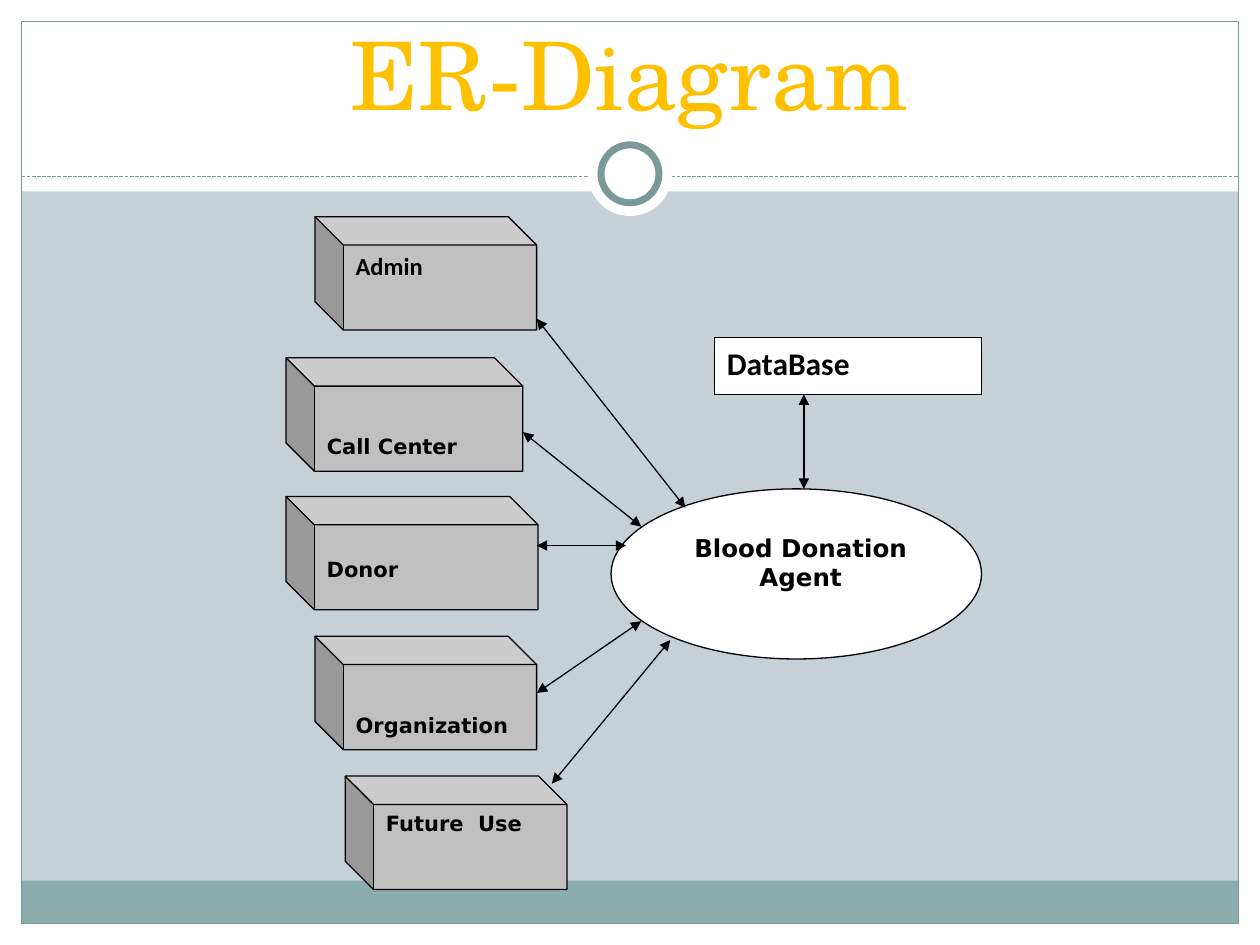
from lxml import etree
from pptx import Presentation
from pptx.dml.color import RGBColor
from pptx.enum.dml import MSO_LINE
from pptx.enum.shapes import MSO_CONNECTOR, MSO_SHAPE
from pptx.enum.text import MSO_ANCHOR, MSO_AUTO_SIZE, PP_ALIGN
from pptx.oxml.ns import qn
from pptx.util import Inches, Pt

RECT, OVAL, CUBE = MSO_SHAPE.RECTANGLE, MSO_SHAPE.OVAL, MSO_SHAPE.CUBE
STRAIGHT = MSO_CONNECTOR.STRAIGHT
DASH = MSO_LINE.SQUARE_DOT
TOP, BOTTOM = MSO_ANCHOR.TOP, MSO_ANCHOR.BOTTOM
LEFT, CENTER = PP_ALIGN.LEFT, PP_ALIGN.CENTER
NO_FIT = MSO_AUTO_SIZE.NONE

BACKGROUND = RGBColor(0xC5, 0xD1, 0xD7)
WHITE = RGBColor(0xFF, 0xFF, 0xFF)
BLACK = RGBColor(0, 0, 0)
GRAY = RGBColor(0xC0, 0xC0, 0xC0)
TEAL = RGBColor(0x8C, 0xAD, 0xAE)
DARK_TEAL = RGBColor(0x7C, 0x99, 0x9A)
GOLD = RGBColor(0xFF, 0xC0, 0x00)

SANS, CALIBRI, SERIF = "DejaVu Sans", "Calibri", "TeX Gyre Schola"


def add_box(s, kind, x, y, w, h, fill=None, line=None, width=0.75):
    sp = s.shapes.add_shape(kind, Inches(x), Inches(y), Inches(w), Inches(h))
    sp.shadow.inherit = False
    if fill is None:
        sp.fill.background()
    else:
        sp.fill.solid()
        sp.fill.fore_color.rgb = fill
    if line is None:
        sp.line.fill.background()
    else:
        sp.line.color.rgb = line
        sp.line.width = Pt(width)
    return sp


def write(sp, text, size=12, font=SANS, color=BLACK, bold=True,
          align=LEFT, anchor=TOP, inset=0.05):
    tf = sp.text_frame
    tf.word_wrap = True
    tf.auto_size = NO_FIT
    tf.vertical_anchor = anchor
    tf.margin_top = Inches(inset)
    p = tf.paragraphs[0]
    p.alignment = align
    r = p.add_run()
    r.text = text
    r.font.size = Pt(size)
    r.font.name = font
    r.font.bold = bold
    r.font.color.rgb = color


def add_line(s, x1, y1, x2, y2, color=BLACK, dash=None, arrows=False):
    line = s.shapes.add_connector(STRAIGHT, Inches(x1), Inches(y1), Inches(x2), Inches(y2))
    line.line.color.rgb = color
    line.line.width = Pt(0.75)
    if dash is not None:
        line.line.dash_style = dash
    if arrows:
        ln = line.line._get_or_add_ln()
        for end in ("a:headEnd", "a:tailEnd"):
            etree.SubElement(ln, qn(end), type="triangle")
    etree.SubElement(line.element.spPr, qn("a:effectLst"))


def add_frame(s, w, h, margin=0.17, header=1.52):
    # White margins and header band
    for box in ((0, h - margin, w, margin), (0, 0, w, header),
                (0, 0, margin, h), (w - margin, 0, margin, h)):
        add_box(s, RECT, *box, fill=WHITE)
    # Footer band and outline
    inner_w = w - 2 * margin
    add_box(s, RECT, margin, h - margin - 0.34, inner_w, 0.34, fill=TEAL)
    add_box(s, RECT, margin, margin, inner_w, h - 2 * margin, line=DARK_TEAL)
    # Dashed rule with a ring at its middle
    rule_y = header - 0.12
    add_line(s, margin, rule_y, w - margin, rule_y, DARK_TEAL, DASH)
    ring_y = header - 0.14
    for d, line in ((0.67, None), (0.46, DARK_TEAL)):
        add_box(s, OVAL, w / 2 - d / 2, ring_y - d / 2, d, d, WHITE, line, 4)


def add_title(s, x, y, w, h, text):
    title = s.shapes.title
    title.left, title.top, title.width, title.height = map(Inches, (x, y, w, h))
    write(title, text, size=54, font=SERIF, color=GOLD, bold=False,
          align=CENTER, anchor=BOTTOM)
    # Bring the title in front of the header band
    title.element.getparent().append(title.element)


def add_entity(s, x, y, w, text, size=12, font=SANS, inset=0.05):
    cube = add_box(s, CUBE, x, y, w, 0.9, GRAY, BLACK)
    cube.adjustments[0] = 0.25
    cube.element.spPr.xfrm.set("flipH", "1")
    write(cube, text, size, font, inset=inset)


def add_agent(s, x, y, w, h, text):
    add_box(s, OVAL, x, y, w, h, WHITE, BLACK)
    label = add_box(s, RECT, x + 0.33, y + 0.3, w - 0.59, h - 0.6, WHITE)
    write(label, text, size=14, align=CENTER)


def add_diagram(s, x, y):
    # Agent
    add_agent(s, x + 2.58, y + 2.16, 2.94, 1.35, "Blood Donation Agent")

    # Entities
    add_entity(s, x + 0.23, y, 1.76, "Admin", 14, CALIBRI)
    add_entity(s, x, y + 1.12, 1.88, "Call Center", inset=0.38)
    add_entity(s, x, y + 2.22, 2, "Donor", inset=0.25)
    add_entity(s, x + 0.23, y + 3.33, 1.76, "Organization", inset=0.38)
    add_entity(s, x + 0.47, y + 4.44, 1.76, "Future  Use")

    # Database
    database = add_box(s, RECT, x + 3.4, y + 0.96, 2.12, 0.45, WHITE, BLACK)
    write(database, "DataBase", 18, CALIBRI)

    # Two-way links to the agent
    for x1, y1, x2, y2 in ((1.99, 0.81, 3.17, 2.31), (1.88, 1.71, 2.82, 2.46),
                           (1.99, 3.78, 2.82, 3.21), (3.05, 3.36, 2.11, 4.5),
                           (4.11, 1.41, 4.11, 2.16), (1.99, 2.61, 2.7, 2.61)):
        add_line(s, x + x1, y + y1, x + x2, y + y2, arrows=True)


prs = Presentation()
prs.slide_width, prs.slide_height = Inches(10), Inches(7.5)
s = prs.slides.add_slide(prs.slide_layouts[5])
s.background.fill.solid()
s.background.fill.fore_color.rgb = BACKGROUND

add_frame(s, 10, 7.5)
add_title(s, 0.33, 0.25, 9.33, 0.83, "ER-Diagram")
add_diagram(s, 2.27, 1.72)

prs.save("out.pptx")
